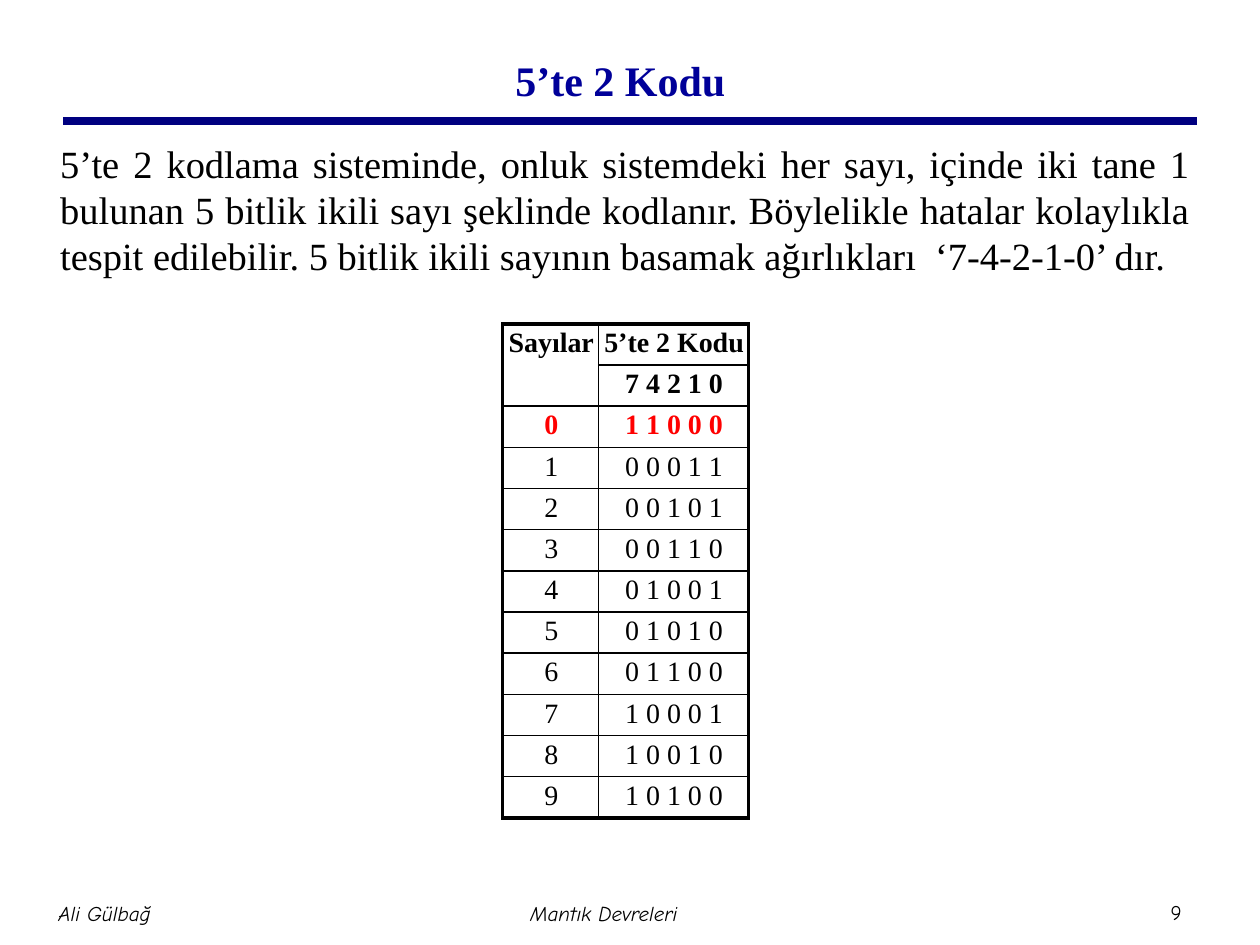
from lxml import etree
from pptx import Presentation
from pptx.dml.color import RGBColor
from pptx.enum.shapes import MSO_CONNECTOR
from pptx.enum.text import MSO_ANCHOR, PP_ALIGN
from pptx.oxml.ns import qn
from pptx.util import Inches, Pt

CENTER, JUSTIFY = PP_ALIGN.CENTER, PP_ALIGN.JUSTIFY
TOP, MIDDLE = MSO_ANCHOR.TOP, MSO_ANCHOR.MIDDLE
STRAIGHT = MSO_CONNECTOR.STRAIGHT

SERIF, HAND = "Times New Roman", "Comic Neue"
COLORS = {"rule": "000080", "title": "000099", "text": "000000", "accent": "FF0000"}
THIN, THICK = 1, 2.25

BODY = ("5’te 2 kodlama sisteminde, onluk sistemdeki her sayı, içinde iki tane 1 "
        "bulunan 5 bitlik ikili sayı şeklinde kodlanır. Böylelikle hatalar kolaylıkla "
        "tespit edilebilir. 5 bitlik ikili sayının basamak ağırlıkları  ‘7-4-2-1-0’ dır.")
CODES = ["11000", "00011", "00101", "00110", "01001",
         "01010", "01100", "10001", "10010", "10100"]


def style(p, size, font=SERIF, color="text", bold=False, italic=False, align=CENTER):
    p.alignment = align
    p.font.size = Pt(size)
    p.font.name = font
    p.font.bold = bold
    p.font.italic = italic
    p.font.color.rgb = RGBColor.from_string(COLORS[color])


def set_margins(target, left, top, right, bottom):
    target.margin_left, target.margin_top = Inches(left), Inches(top)
    target.margin_right, target.margin_bottom = Inches(right), Inches(bottom)


def add_text(slide, box, text, size, margins, anchor=MIDDLE, **look):
    tf = slide.shapes.add_textbox(*map(Inches, box)).text_frame
    tf.word_wrap = True
    tf.vertical_anchor = anchor
    set_margins(tf, *margins)
    p = tf.paragraphs[0]
    p.text = text
    style(p, size, **look)
    return p


def add_rule(slide, left, right, y):
    line = slide.shapes.add_connector(
        STRAIGHT, Inches(left), Inches(y), Inches(right), Inches(y))
    line.line.color.rgb = RGBColor.from_string(COLORS["rule"])
    line.line.width = Pt(4.5)
    etree.SubElement(line._element.spPr, qn("a:effectLst"))


def set_borders(cell, widths):
    """Draw the left, right, top and bottom borders, with widths in points."""
    tc_pr = cell._tc.get_or_add_tcPr()
    for side, width in zip("LRTB", widths):
        ln = etree.SubElement(tc_pr, qn(f"a:ln{side}"), w=str(Pt(width)))
        fill = etree.SubElement(ln, qn("a:solidFill"))
        etree.SubElement(fill, qn("a:srgbClr"), val=COLORS["text"])


def add_code_table(slide):
    rows = [("Sayılar", "5’te 2 Kodu"), ("", "7 4 2 1 0")]
    rows += [(str(n), " ".join(code)) for n, code in enumerate(CODES)]
    last = len(rows) - 1
    table = slide.shapes.add_table(
        len(rows), 2, Inches(3.99), Inches(2.57), Inches(1.95), Inches(3.91)).table
    table.first_row = table.horz_banding = False
    table.columns[0].width, table.columns[1].width = Inches(0.76), Inches(1.19)
    table.cell(0, 0).merge(table.cell(1, 0))

    for i, row in enumerate(rows):
        for j, text in enumerate(row):
            cell = table.cell(i, j)
            if cell.is_spanned:
                continue
            outer = (j == 0, j == 1, i == 0, i == last)
            set_borders(cell, [THICK if edge else THIN for edge in outer])
            cell.fill.background()
            set_margins(cell, 0.04, 0.03, 0.03, 0.03)
            p = cell.text_frame.paragraphs[0]
            p.text = text
            style(p, 16, bold=i <= 2, color="accent" if i == 2 else "text")


def add_footer(slide):
    margins = (0.05,) * 4
    for left, text in ((-0.96, "Ali Gülbağ"), (3.03, "Mantık Devreleri ")):
        add_text(slide, (left, 7, 3.58, 0.5), text, 12, margins, font=HAND, italic=True)
    add_text(slide, (9.1, 7.09, 0.47, 0.3), "9", 12, margins, font=HAND)


def main():
    prs = Presentation()
    prs.slide_width, prs.slide_height = Inches(10), Inches(7.5)
    slide = prs.slides.add_slide(prs.slide_layouts[6])
    add_rule(slide, 0.5, 9.5, 0.96)
    add_footer(slide)
    add_text(slide, (0.75, 0.08, 8.5, 0.86), "5’te 2 Kodu", 24,
             (0.1, 0.3, 0.25, 0.05), color="title", bold=True)
    body = add_text(slide, (0.38, 1.06, 9.16, 5.78), BODY, 22,
                    (0.1, 0.05, 0.1, 0.05), anchor=TOP, align=JUSTIFY)
    body.space_before = Pt(4.4)
    add_code_table(slide)
    prs.save("out.pptx")


if __name__ == "__main__":
    main()
